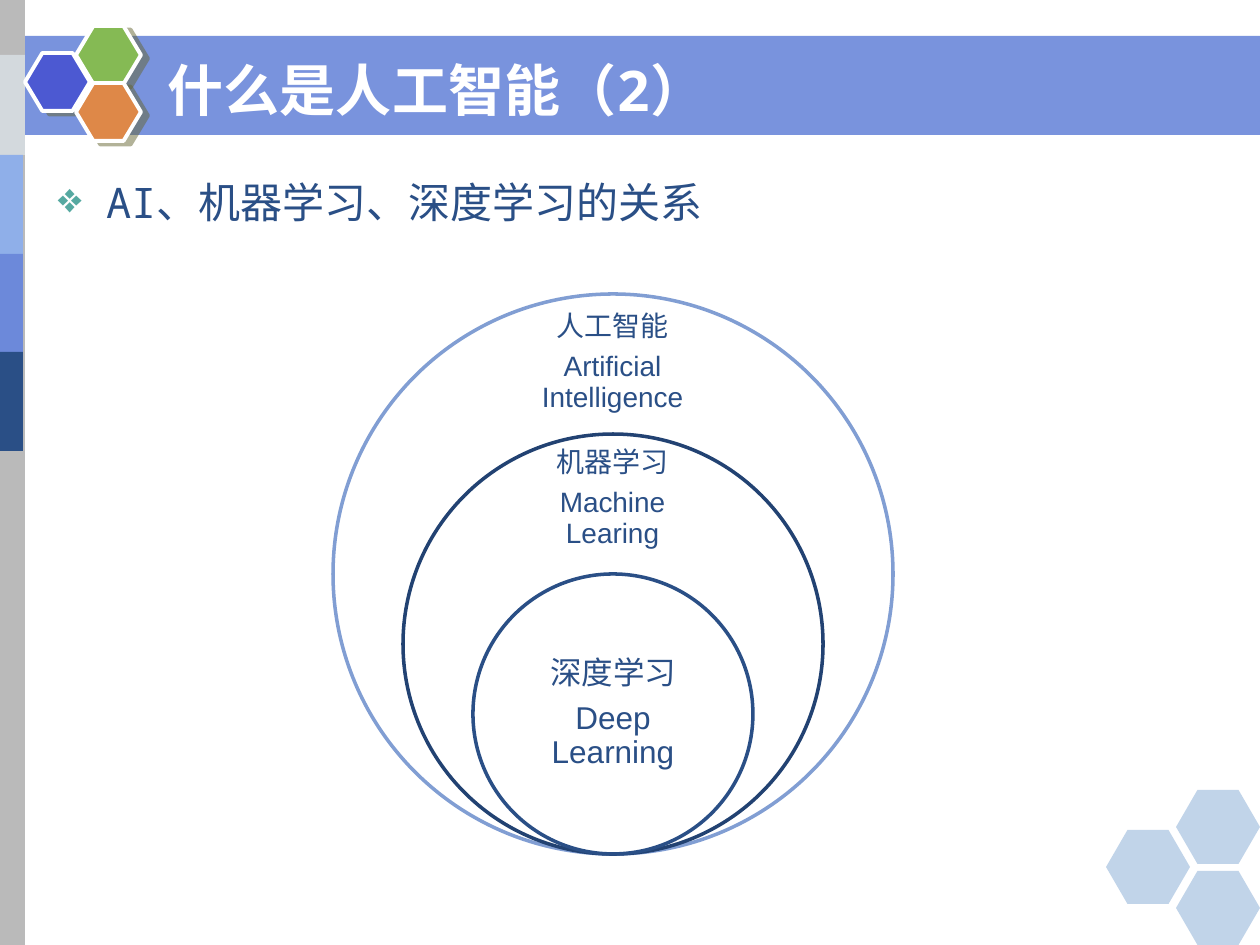
from dataclasses import dataclass

from lxml import etree
from pptx import Presentation
from pptx.dml.color import RGBColor
from pptx.enum.shapes import MSO_SHAPE
from pptx.enum.text import MSO_ANCHOR, MSO_AUTO_SIZE, PP_ALIGN
from pptx.oxml.ns import qn
from pptx.util import Emu, Pt

PX_PER_INCH = 126
NAVY = "2A4F86"
WHITE = "FFFFFF"
MONO = "Noto Sans Mono"


@dataclass(frozen=True)
class Box:
    left: int
    top: int
    width: int
    height: int


@dataclass(frozen=True)
class Ring:
    """A circle of the nested diagram with its two-language label."""
    diameter: int
    line: str
    chinese: str
    english: str
    label: Box
    inset: int
    size: int


RINGS = [
    Ring(560, "819ED3", "人工智能", "Artificial Intelligence", Box(515, 321, 195, 84), 15, 16),
    Ring(420, "224272", "机器学习", "Machine Learing", Box(515, 460, 195, 78), 15, 16),
    Ring(280, NAVY, "深度学习", "Deep Learning", Box(514, 644, 198, 140), 18, 18),
]
RING_CENTER, RING_BOTTOM = 613, 854

SIDE_BLOCKS = [
    (Box(0, 55, 25, 100), "D3D9DD"),
    (Box(-2, 155, 25, 100), "8FAFE9"),
    (Box(-2, 254, 25, 100), "6C89DA"),
    (Box(-2, 352, 25, 99), NAVY),
]
LOGO_CELLS = [(25, 53, "4C59D2"), (76, 26, "85BA54"), (76, 83, "DE8848")]
CORNER_CELLS = [(1106, 830), (1176, 790), (1176, 871)]


def px(length: int) -> Emu:
    return Emu(round(length * 914400 / PX_PER_INCH))


def color(value: str) -> RGBColor:
    return RGBColor.from_string(value)


def place(box: Box) -> tuple[Emu, Emu, Emu, Emu]:
    return px(box.left), px(box.top), px(box.width), px(box.height)


def draw_shape(slide, kind, box: Box, fill: str, alpha: int = 100,
               line: str | None = None, line_width: float = 2):
    shape = slide.shapes.add_shape(kind, *place(box))
    shape.shadow.inherit = False
    shape.fill.solid()
    shape.fill.fore_color.rgb = color(fill)
    if alpha < 100:
        fill_color = shape.fill._xPr.find(qn("a:solidFill"))[0]
        etree.SubElement(fill_color, qn("a:alpha"), val=str(alpha * 1000))
    if line:
        shape.line.color.rgb = color(line)
        shape.line.width = Pt(line_width)
    else:
        shape.line.fill.background()
    return shape


def draw_hexagon(slide, box: Box, point: float, fill: str, **style):
    hexagon = draw_shape(slide, MSO_SHAPE.HEXAGON, box, fill, **style)
    hexagon.adjustments[0] = point
    return hexagon


def cast_shadow(shape) -> None:
    effects = shape._element.spPr.find(qn("a:effectLst"))
    shadow = etree.SubElement(effects, qn("a:outerShdw"), blurRad="0", dist=str(Pt(4.5)),
                              dir=str(27 * 60000), algn="ctr", rotWithShape="0")
    tint = etree.SubElement(shadow, qn("a:srgbClr"), val="666633")
    etree.SubElement(tint, qn("a:alpha"), val="50000")


def set_frame(frame, anchor, inset_x: int, inset_y: int) -> None:
    frame.word_wrap = True
    frame.auto_size = MSO_AUTO_SIZE.NONE
    frame.vertical_anchor = anchor
    frame.margin_left = frame.margin_right = px(inset_x)
    frame.margin_top = frame.margin_bottom = px(inset_y)


def set_font(paragraph, name: str, size: int, fill: str, bold: bool = False) -> None:
    font = paragraph.font
    font.name, font.size, font.bold = name, Pt(size), bold
    font.color.rgb = color(fill)


def add_bullet(paragraph, mark: str, fill: str, indent: int) -> None:
    properties = paragraph._p.get_or_add_pPr()
    properties.set("marL", str(px(indent)))
    properties.set("indent", str(-px(indent)))
    bullet_color = etree.SubElement(properties, qn("a:buClr"))
    etree.SubElement(bullet_color, qn("a:srgbClr"), val=fill)
    etree.SubElement(properties, qn("a:buChar"), char=mark)


def draw_background(slide) -> None:
    draw_shape(slide, MSO_SHAPE.RECTANGLE, Box(0, 36, 1260, 99), "6C89DA", alpha=91)
    draw_shape(slide, MSO_SHAPE.RECTANGLE, Box(-1, 0, 26, 945), "BABABA")
    for box, fill in SIDE_BLOCKS:
        draw_shape(slide, MSO_SHAPE.RECTANGLE, box, fill)
    for left, top, fill in LOGO_CELLS:
        cast_shadow(draw_hexagon(slide, Box(left, top, 65, 58), 0.3, fill,
                                 line=WHITE, line_width=2.25))
    for left, top in CORNER_CELLS:
        draw_hexagon(slide, Box(left, top, 84, 74), 0.29, "5086C2", alpha=35)


def write_title(slide) -> None:
    title = slide.shapes.title
    title.left, title.top, title.width, title.height = place(Box(154, 45, 1016, 88))
    set_frame(title.text_frame, MSO_ANCHOR.MIDDLE, 14, 8)
    title.text_frame.text = "什么是人工智能（2）"
    heading = title.text_frame.paragraphs[0]
    heading.alignment = PP_ALIGN.JUSTIFY
    set_font(heading, MONO, 32, WHITE, bold=True)
    slide.shapes._spTree.append(title._element)  # in front of the title bar


def write_topic(slide) -> None:
    frame = slide.shapes.add_textbox(*place(Box(45, 171, 1168, 645))).text_frame
    set_frame(frame, MSO_ANCHOR.TOP, 13, 6)
    topic = frame.paragraphs[0]
    topic.text = "AI、机器学习、深度学习的关系"
    topic.alignment = PP_ALIGN.JUSTIFY
    add_bullet(topic, "❖", "56A9A1", 48)
    set_font(topic, MONO, 24, NAVY)


def draw_ring(slide, ring: Ring) -> None:
    circle = Box(RING_CENTER - ring.diameter // 2, RING_BOTTOM - ring.diameter,
                 ring.diameter, ring.diameter)
    draw_shape(slide, MSO_SHAPE.OVAL, circle, WHITE, line=ring.line)
    frame = slide.shapes.add_textbox(*place(ring.label)).text_frame
    set_frame(frame, MSO_ANCHOR.MIDDLE, ring.inset, ring.inset)
    frame.text = f"{ring.chinese}\n{ring.english}"
    for paragraph in frame.paragraphs:
        paragraph.alignment = PP_ALIGN.CENTER
        paragraph.line_spacing = 0.9
        paragraph.space_after = Pt(ring.size * 0.35)
        set_font(paragraph, "Arial", ring.size, NAVY)


def main() -> None:
    presentation = Presentation()
    presentation.slide_width, presentation.slide_height = px(1260), px(945)
    slide = presentation.slides.add_slide(presentation.slide_layouts[5])
    draw_background(slide)
    write_topic(slide)
    for ring in RINGS:
        draw_ring(slide, ring)
    write_title(slide)
    presentation.save("out.pptx")


if __name__ == "__main__":
    main()
